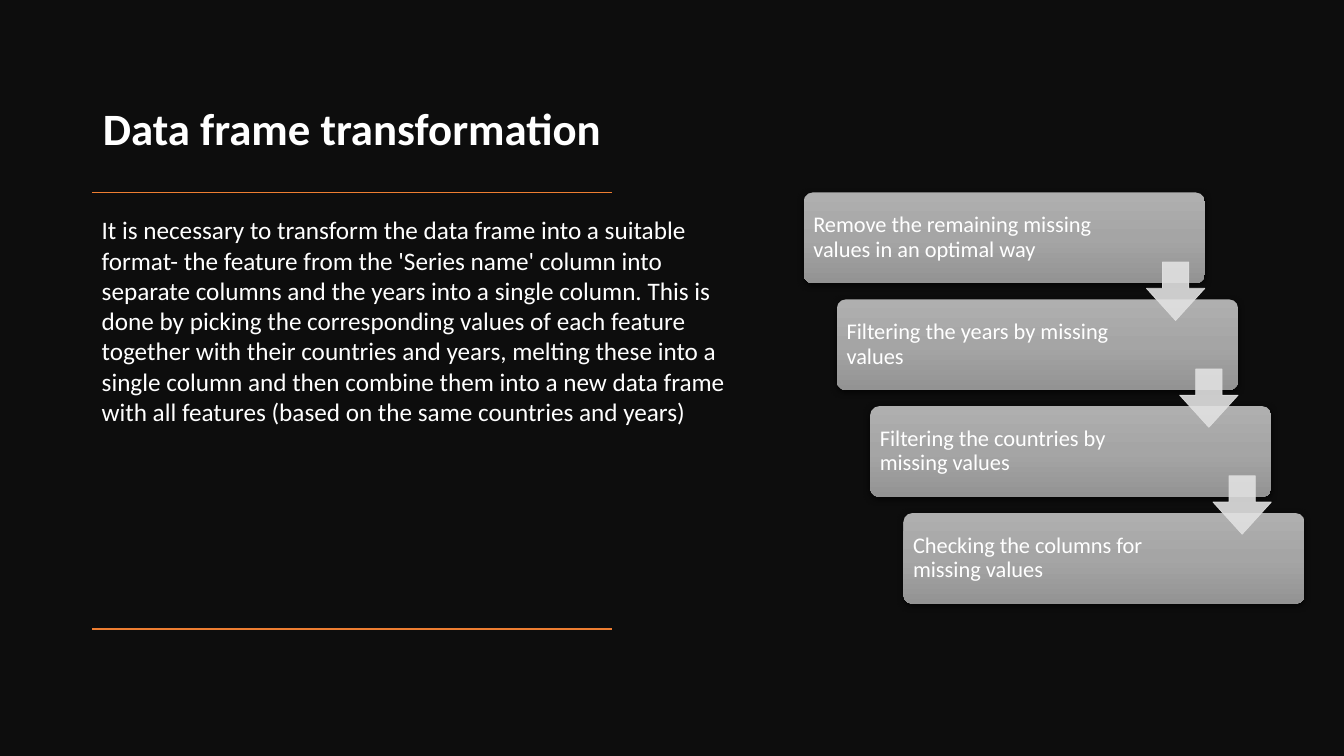
"""Build the data frame transformation slide with its four-step cleaning cascade."""
from lxml import etree
from pptx import Presentation
from pptx.dml.color import RGBColor
from pptx.enum.shapes import MSO_CONNECTOR, MSO_SHAPE
from pptx.enum.text import MSO_ANCHOR, PP_ALIGN
from pptx.oxml import parse_xml
from pptx.oxml.ns import nsdecls, qn
from pptx.util import Inches, Pt

ROUNDED, DOWN_ARROW = MSO_SHAPE.ROUNDED_RECTANGLE, MSO_SHAPE.DOWN_ARROW
STRAIGHT = MSO_CONNECTOR.STRAIGHT
MIDDLE, BOTTOM, LEFT = MSO_ANCHOR.MIDDLE, MSO_ANCHOR.BOTTOM, PP_ALIGN.LEFT

COLORS = {
    "background": "0D0D0D",
    "text": "FFFFFF",
    "rule": "ED7D31",
    "arrow": "E1E1E1",
    "step_top": "AFAFAF",
    "step_middle": "A5A5A5",
    "step_bottom": "939393",
    "shadow": "000000",
}
STEPS = [
    "Remove the remaining missing values in an optimal way",
    "Filtering the years by missing values",
    "Filtering the countries by missing values",
    "Checking the columns for missing values",
]
EXPLANATION = (
    "It is necessary to transform the data frame into a suitable format- the feature "
    "from the 'Series name' column into separate columns and the years into a single "
    "column. This is done by picking the corresponding values of each feature together "
    "with their countries and years, melting these into a single column and then combine "
    "them into a new data frame with all features (based on the same countries and years)"
)
STEP_GRADIENT = f"""<a:gradFill {nsdecls('a')} rotWithShape="1"><a:gsLst>
<a:gs pos="0"><a:srgbClr val="{COLORS['step_top']}"/></a:gs>
<a:gs pos="50000"><a:srgbClr val="{COLORS['step_middle']}"/></a:gs>
<a:gs pos="100000"><a:srgbClr val="{COLORS['step_bottom']}"/></a:gs>
</a:gsLst><a:lin ang="5400000" scaled="0"/></a:gradFill>"""
STEP_SHADOW = f"""<a:effectLst {nsdecls('a')}>
<a:outerShdw blurRad="57150" dist="19050" dir="5400000" algn="ctr" rotWithShape="0">
<a:srgbClr val="{COLORS['shadow']}"><a:alpha val="63000"/></a:srgbClr>
</a:outerShdw></a:effectLst>"""


def rgb(role):
    return RGBColor.from_string(COLORS[role])


def write(paragraph, text, size, bold=False):
    paragraph.alignment = LEFT
    run = paragraph.add_run()
    run.text = text
    run.font.name = "Calibri"
    run.font.size = Pt(size)
    run.font.bold = bold
    run.font.color.rgb = rgb("text")


prs = Presentation()
prs.slide_width, prs.slide_height = Inches(13.33), Inches(7.5)
slide = prs.slides.add_slide(prs.slide_layouts[5])
slide.background.fill.solid()
slide.background.fill.fore_color.rgb = rgb("background")

title = slide.shapes.title
title.left, title.top = Inches(0.92), Inches(0.74)
title.width, title.height = Inches(5.15), Inches(1.34)
title.text_frame.vertical_anchor = BOTTOM
title.text_frame.margin_bottom = Inches(0.54)
title.text_frame.paragraphs[0].line_spacing = 0.9
write(title.text_frame.paragraphs[0], "Data frame transformation", 32, bold=True)

for rule_y in (1.91, 6.24):
    rule = slide.shapes.add_connector(
        STRAIGHT, Inches(6.07), Inches(rule_y), Inches(0.91), Inches(rule_y))
    rule.line.color.rgb = rgb("rule")
    rule.line.width = Pt(1)
    etree.SubElement(rule._element.spPr, qn("a:effectLst"))

STEP_LEFT, STEP_TOP, STEP_WIDTH, STEP_HEIGHT = 7.97, 1.91, 3.98, 0.9
SHIFT_X, SHIFT_Y, ARROW_SIZE = 0.33, 1.06, 0.58

for index, step_text in enumerate(STEPS):
    step = slide.shapes.add_shape(
        ROUNDED, Inches(STEP_LEFT + index * SHIFT_X), Inches(STEP_TOP + index * SHIFT_Y),
        Inches(STEP_WIDTH), Inches(STEP_HEIGHT))
    step.adjustments[0] = 0.1
    step.line.fill.background()
    outline = step._element.spPr.find(qn("a:ln"))
    outline.addprevious(parse_xml(STEP_GRADIENT))
    outline.addnext(parse_xml(STEP_SHADOW))
    frame = step.text_frame
    frame.word_wrap = True
    frame.vertical_anchor = MIDDLE
    frame.margin_left = frame.margin_top = frame.margin_bottom = Inches(0.07)
    frame.margin_right = Inches(1)
    frame.paragraphs[0].line_spacing = 0.9
    write(frame.paragraphs[0], step_text, 16)

for index in range(len(STEPS) - 1):
    arrow = slide.shapes.add_shape(
        DOWN_ARROW,
        Inches(STEP_LEFT + STEP_WIDTH - ARROW_SIZE + index * SHIFT_X),
        Inches(2.6 + index * SHIFT_Y), Inches(ARROW_SIZE), Inches(ARROW_SIZE))
    arrow.adjustments[0], arrow.adjustments[1] = 0.45, 0.55
    arrow.shadow.inherit = False
    arrow.fill.solid()
    arrow.fill.fore_color.rgb = rgb("arrow")
    arrow.line.color.rgb = rgb("arrow")
    arrow.line.width = Pt(0.5)
    for color in arrow._element.spPr.iter(qn("a:srgbClr")):
        etree.SubElement(color, qn("a:alpha")).set("val", "90000")

explanation = slide.shapes.add_textbox(Inches(0.91), Inches(2.08), Inches(6.68), Inches(2.52))
explanation.text_frame.word_wrap = True
write(explanation.text_frame.paragraphs[0], EXPLANATION, 18)

prs.save("out.pptx")
